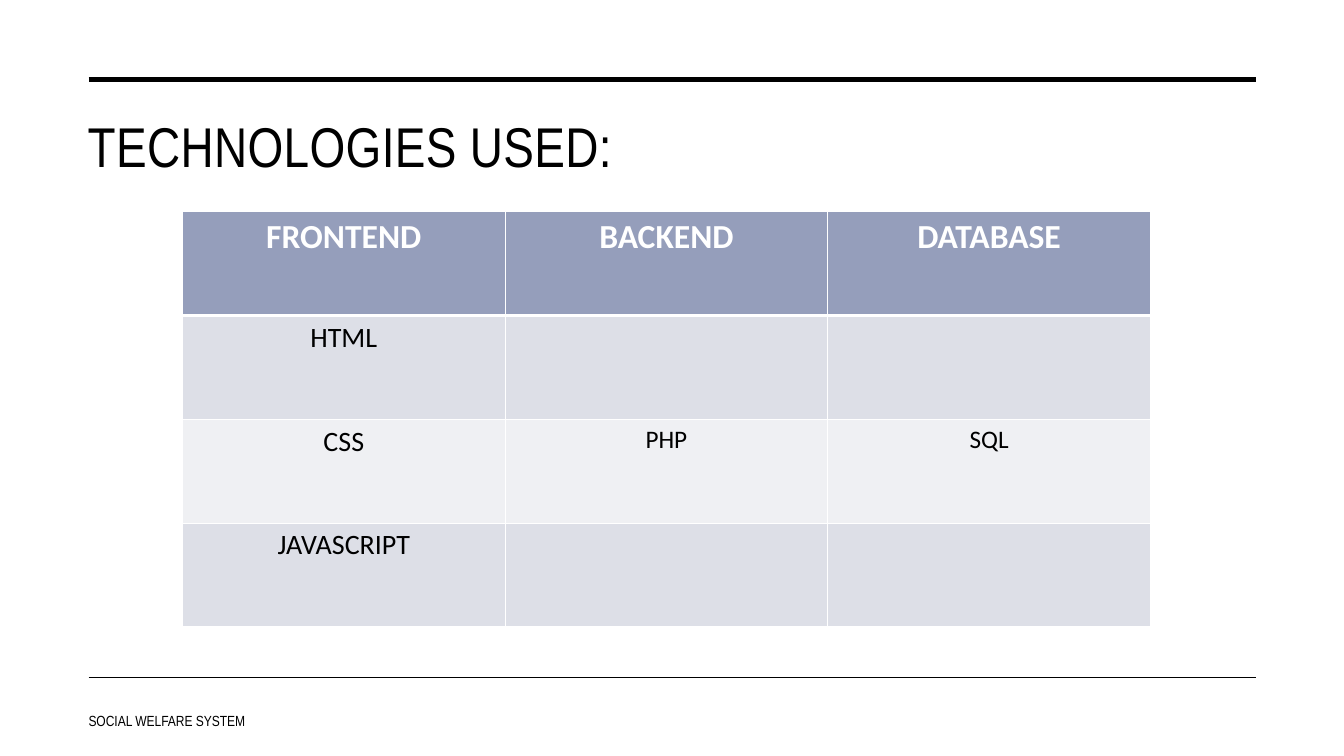
from lxml import etree
from pptx import Presentation
from pptx import util as u
from pptx.dml.color import RGBColor
from pptx.enum import shapes, text
from pptx.oxml import ns

HUES = {"ink": "000000", "paper": "FFFFFF", "head": "959EBB", "odd": "DDDFE7", "even": "EFF0F3"}
HEADS = ["FRONTEND", "BACKEND", "DATABASE"]
ROWS = [["HTML", "", ""], ["CSS", "PHP", "SQL"], ["JAVASCRIPT", "", ""]]


def hue(name):
    return RGBColor.from_string(HUES[name])


def box(*spans):
    return [u.Inches(span) for span in spans]


def apply(item, values):
    for name, value in values.items():
        setattr(item, name, value)


class Page:
    narrow = "Arial Narrow"
    body = "Calibri"

    def __init__(self, deck):
        self.slide = deck.slides.add_slide(deck.slide_layouts[5])
        self.shapes = self.slide.shapes

    def words(self, frame, wording, size, face, tint="ink", bold=False, align=text.PP_ALIGN.LEFT):
        para = frame.paragraphs[0]
        para.alignment = align
        run = para.add_run()
        run.text = wording
        apply(run.font, {"size": u.Pt(size), "name": face, "bold": bold})
        run.font.color.rgb = hue(tint)
        return run

    def place(self, shape, spot):
        apply(shape, dict(zip(("left", "top", "width", "height"), box(*spot))))
        apply(shape.text_frame, {
            "word_wrap": True,
            "auto_size": text.MSO_AUTO_SIZE.NONE,
            "vertical_anchor": text.MSO_ANCHOR.MIDDLE,
        })
        return shape.text_frame

    def title(self, wording, spot):
        frame = self.place(self.shapes.title, spot)
        run = self.words(frame, wording, 40, self.narrow)
        run._r.get_or_add_rPr().set("spc", "30")

    def label(self, wording, spot):
        frame = self.place(self.shapes.add_textbox(*box(*spot)), spot)
        self.words(frame, wording, 10.5, self.narrow)

    def rule(self, top, width):
        ends = box(0.88, top, 12.46, top)
        line = self.shapes.add_connector(shapes.MSO_CONNECTOR.STRAIGHT, *ends)
        line.line.width = u.Pt(width)
        line.line.color.rgb = hue("ink")
        etree.SubElement(line._element.spPr, ns.qn("a:effectLst"))

    def edge(self, cell, row):
        props = cell._tc.get_or_add_tcPr()
        widths = {"L": 1, "R": 1, "T": 3 if row == 1 else 1, "B": 1 if row else 3}
        for at, (side, width) in enumerate(widths.items()):
            line = etree.Element(ns.qn(f"a:ln{side}"), w=str(u.Pt(width)))
            fill = etree.SubElement(line, ns.qn("a:solidFill"))
            etree.SubElement(fill, ns.qn("a:srgbClr"), val=HUES["paper"])
            props.insert(at, line)

    def table(self, rows, spot, height):
        grid = self.shapes.add_table(len(rows), len(rows[0]), *box(*spot)).table
        for row, wordings in enumerate(rows):
            grid.rows[row].height = u.Inches(height)
            for col, wording in enumerate(wordings):
                self.cell(grid.cell(row, col), row, col, wording)

    def cell(self, cell, row, col, wording):
        cell.fill.solid()
        cell.fill.fore_color.rgb = hue(("odd" if row % 2 else "even") if row else "head")
        self.edge(cell, row)
        if wording:
            size = (18 if col else 20) if row else 24
            tint = "ink" if row else "paper"
            self.words(cell.text_frame, wording, size, self.body, tint, row == 0, text.PP_ALIGN.CENTER)


def main():
    deck = Presentation()
    apply(deck, {"slide_width": u.Inches(13.33), "slide_height": u.Inches(7.5)})
    page = Page(deck)
    page.rule(0.79, 3.5)
    page.rule(6.72, 1)
    page.title("TECHNOLOGIES USED:", (0.77, 0.99, 11.69, 0.89))
    page.label("SOCIAL WELFARE SYSTEM", (0.78, 6.95, 4.96, 0.4))
    page.table([HEADS] + ROWS, (1.81, 2.1, 9.6, 4.12), 1.03)
    deck.save("out.pptx")


if __name__ == "__main__":
    main()
